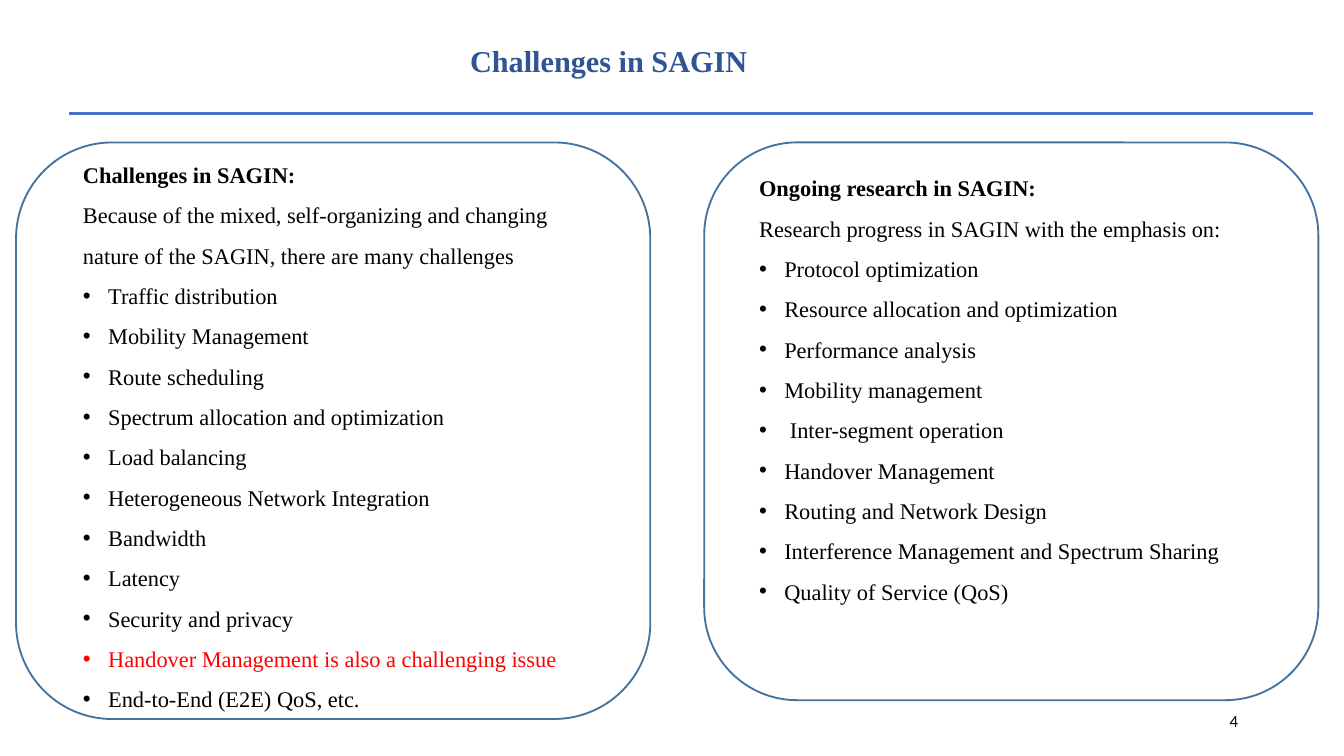
import pptx
import pptx.dml.color
import pptx.enum.shapes
import pptx.enum.text
import pptx.oxml.ns
import pptx.util
from lxml import etree
from pptx.util import Pt

RGBColor = pptx.dml.color.RGBColor
TITLE_BLUE = RGBColor(0x2F, 0x55, 0x97)
RULE_BLUE = RGBColor(0x44, 0x72, 0xC4)
FRAME_BLUE = RGBColor(0x43, 0x73, 0x9E)
BLACK = RGBColor(0, 0, 0)
RED = RGBColor(0xFF, 0, 0)
SERIF = "Times New Roman"
HIGHLIGHT = "Handover Management is also a challenging issue"

# Each panel: frame box, text box, heading, introduction, bullet items
PANELS = [
    ((8.6, 76.3, 339.8, 308.9), (37.4, 75.6, 276.5, 310.3),
     "Challenges in SAGIN:",
     "Because of the mixed, self-organizing and changing nature of the SAGIN, "
     "there are many challenges",
     ["Traffic distribution", "Mobility Management", "Route scheduling",
      "Spectrum allocation and optimization", "Load balancing",
      "Heterogeneous Network Integration", "Bandwidth", "Latency",
      "Security and privacy", HIGHLIGHT, "End-to-End (E2E) QoS, etc."]),
    ((377.3, 76.3, 329, 298.8), (399.6, 82.8, 276.5, 244.8),
     "Ongoing research in SAGIN:",
     "Research progress in SAGIN with the emphasis on:",
     ["Protocol optimization", "Resource allocation and optimization",
      "Performance analysis", "Mobility management",
      " Inter-segment operation", "Handover Management",
      "Routing and Network Design",
      "Interference Management and Spectrum Sharing",
      "Quality of Service (QoS)"]),
]


def add_text_box(box, anchor):
    text_box = slide.shapes.add_textbox(*map(Pt, box))
    text_box.text_frame.word_wrap = True
    text_box.text_frame.vertical_anchor = anchor
    return text_box.text_frame


def format_runs(paragraph, name, size, color, bold=False):
    for run in paragraph.runs:
        run.font.name = name
        run.font.size = Pt(size)
        run.font.color.rgb = color
        run.font.bold = bold


presentation = pptx.Presentation()
presentation.slide_width = Pt(720)
presentation.slide_height = Pt(405)
slide = presentation.slides.add_slide(presentation.slide_layouts[6])
anchors = pptx.enum.text.MSO_ANCHOR
alignments = pptx.enum.text.PP_ALIGN

# Title
title_frame = add_text_box((195.8, 15.8, 260.6, 28.8), anchors.BOTTOM)
title_frame.margin_bottom = Pt(2)
paragraph = title_frame.paragraphs[0]
paragraph.text = "Challenges in SAGIN"
paragraph.alignment = alignments.CENTER
paragraph.line_spacing = 0.9
format_runs(paragraph, SERIF, 16.2, TITLE_BLUE, True)

# Slide number
number_frame = add_text_box((508.3, 375.1, 162, 21.6), anchors.MIDDLE)
paragraph = number_frame.paragraphs[0]
paragraph.text = "4"
paragraph.alignment = alignments.RIGHT
format_runs(paragraph, "Calibri", 9, BLACK)

# Rule under the title
rule = slide.shapes.add_connector(
    pptx.enum.shapes.MSO_CONNECTOR.STRAIGHT, Pt(36.9), Pt(60.8), Pt(703.4), Pt(60.8))
rule.line.color.rgb = RULE_BLUE
rule.line.width = Pt(1.5)
etree.SubElement(rule._element.spPr, pptx.oxml.ns.qn("a:effectLst"))

# Rounded frames
for frame_box, *_ in PANELS:
    frame = slide.shapes.add_shape(
        pptx.enum.shapes.MSO_SHAPE.FLOWCHART_ALTERNATE_PROCESS, *map(Pt, frame_box))
    frame.shadow.inherit = False
    frame.fill.background()
    frame.line.color.rgb = FRAME_BLUE
    frame.line.width = Pt(1)

# Panel texts
for _, text_box, heading, introduction, items in PANELS:
    text_frame = add_text_box(text_box, anchors.TOP)
    text_frame.text = "\n".join([heading, introduction, *items])
    for index, paragraph in enumerate(text_frame.paragraphs):
        paragraph.line_spacing = 1.5
        if index >= 2:
            properties = paragraph._p.get_or_add_pPr()
            properties.set("marL", str(Pt(13.5)))
            properties.set("indent", str(Pt(-13.5)))
            bullet_font = etree.SubElement(properties, pptx.oxml.ns.qn("a:buFont"))
            bullet_font.set("typeface", "Arial")
            bullet = etree.SubElement(properties, pptx.oxml.ns.qn("a:buChar"))
            bullet.set("char", "•")
        color = RED if paragraph.text == HIGHLIGHT else BLACK
        format_runs(paragraph, SERIF, 12, color, index == 0)

presentation.save("out.pptx")
